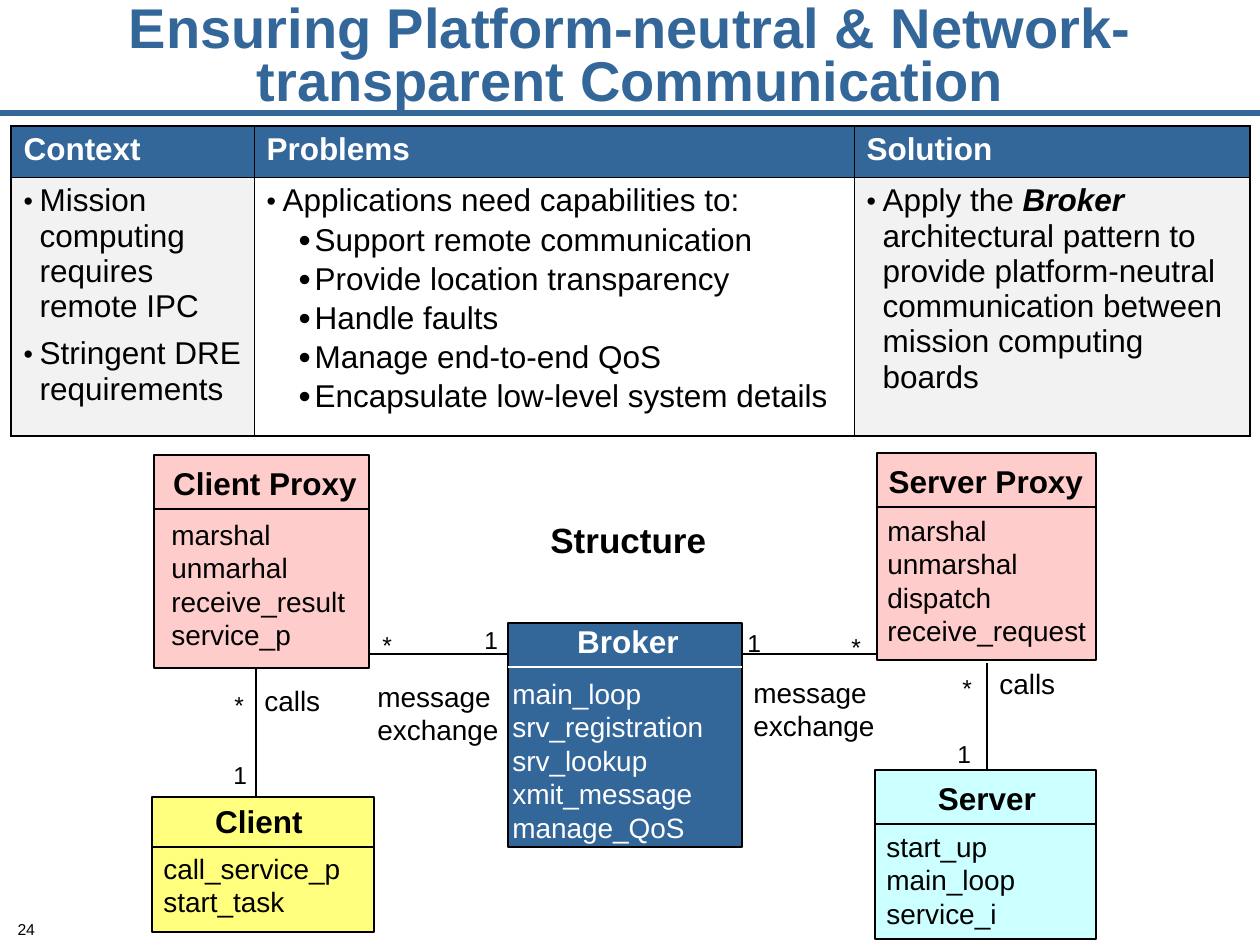
import dataclasses

import lxml.etree
import pptx
import pptx.dml.color
import pptx.enum.shapes
import pptx.enum.text
import pptx.oxml.ns
import pptx.util

SCALE = 914400 / 126
ALIGN = pptx.enum.text.PP_ALIGN
ANCHOR = pptx.enum.text.MSO_ANCHOR


@dataclasses.dataclass(frozen=True)
class Theme:
    """Colours, font and type sizes of the slide."""
    font: str = "Arial"
    blue: str = "336699"
    black: str = "000000"
    white: str = "FFFFFF"
    grey: str = "F2F2F2"
    pink: str = "FFCCCC"
    yellow: str = "FFFF7D"
    aqua: str = "CCFFFF"
    title: int = 32
    topic: int = 20
    head: int = 18
    body: int = 16
    mark: int = 14
    page: int = 9


THEME = Theme()

TABLE = [
    ("Context", 243, THEME.grey, 6.8, [
        (0, ["Mission computing requires remote IPC"]),
        (0, ["Stringent DRE requirements"])]),
    ("Problems", 600, None, 2.2, [
        (0, ["Applications need capabilities to:"]),
        (1, ["Support remote communication"]),
        (1, ["Provide location transparency"]),
        (1, ["Handle faults"]),
        (1, ["Manage end-to-end QoS"]),
        (1, ["Encapsulate low-level system details"])]),
    ("Solution", 396, THEME.grey, 6.8, [
        (0, ["Apply the ", "Broker", " architectural pattern to provide platform-neutral "
             "communication between mission computing boards"])]),
]

# name, fill, ink, box, centre and top of name, rule, place of methods, methods
CLASSES = [
    ("Client Proxy", THEME.pink, THEME.black, (154, 455, 215, 213), (265, 458), 509, (159, 511),
     ["marshal", "unmarhal", "receive_result", "service_p"]),
    ("Client", THEME.yellow, THEME.black, (152, 797, 222, 135), (259, 796), 847, (151, 845),
     ["call_service_p", "start_task"]),
    ("Server Proxy", THEME.pink, THEME.black, (877, 453, 219, 207), (986, 456), 507, (875, 507),
     ["marshal", "unmarshal", "dispatch", "receive_request"]),
    ("Server", THEME.aqua, THEME.black, (875, 770, 221, 169), (987, 773), 824, (874, 823),
     ["start_up", "main_loop", "service_i"]),
    ("Broker", THEME.blue, THEME.white, (508, 623, 234, 224), (628, 616), 667, (500, 670),
     ["main_loop", "srv_registration", "srv_lookup", "xmit_message", "manage_QoS"]),
]

LINKS = [(249, 654, 515, 654), (741, 654, 989, 654), (256, 669, 256, 821), (987, 663, 987, 815)]

NOTES = [("message exchange", 365, 673, 149), ("message exchange", 741, 669, 149),
         ("calls", 252, 677, 131), ("calls", 987, 660, 131)]

MARKS = [("*", 839, 626), ("*", 222, 684), ("*", 370, 624), ("1", 221, 754), ("*", 950, 667),
         ("1", 945, 733), ("1", 735, 622), ("1", 472, 619)]


def emu(px):
    """Turn px into EMU."""
    return pptx.util.Emu(round(px * SCALE))


def rgb(code):
    """Give the colour for a hex code."""
    return pptx.dml.color.RGBColor.from_string(code)


def style(par, size, ink, bold=False):
    """Format all runs of a paragraph."""
    for run in par.runs:
        run.font.name = THEME.font
        run.font.size = pptx.util.Pt(size)
        run.font.bold = bold
        run.font.color.rgb = rgb(ink)


def label(slide, text, area, size, ink=THEME.black, bold=False, align=ALIGN.LEFT, space=None, inset=True):
    """Add a text box and return its frame."""
    frame = slide.shapes.add_textbox(*map(emu, area)).text_frame
    frame.word_wrap = True
    if not inset:
        frame.margin_left = frame.margin_right = frame.margin_top = frame.margin_bottom = 0
    frame.text = text
    for par in frame.paragraphs:
        par.alignment = align
        par.line_spacing = space
        style(par, size, ink, bold)
    return frame


def line(slide, ends, ink=THEME.black, width=1):
    """Add a straight line without shadow."""
    kind = pptx.enum.shapes.MSO_CONNECTOR.STRAIGHT
    link = slide.shapes.add_connector(kind, *map(emu, ends))
    link.line.color.rgb = rgb(ink)
    link.line.width = pptx.util.Pt(width)
    lxml.etree.SubElement(link._element.spPr, pptx.oxml.ns.qn("a:effectLst"))


def node(slide, name, fill, ink, area, head, rule, place, items):
    """Add a class box with its name, rule and methods."""
    left, top, width, height = area
    box = slide.shapes.add_shape(pptx.enum.shapes.MSO_SHAPE.RECTANGLE, *map(emu, area))
    box.shadow.inherit = False
    box.fill.solid()
    box.fill.fore_color.rgb = rgb(fill)
    box.line.color.rgb = rgb(THEME.black)
    box.line.width = pptx.util.Pt(1)
    line(slide, (left, rule, left + width, rule), ink)
    label(slide, "\n".join(items), (*place, 250, 13 + 34 * len(items)), THEME.body, ink)
    mid, high = head
    label(slide, name, (mid - 120, high, 240, 50), THEME.head, ink, True, ALIGN.CENTER)


def edge(cell, sides):
    """Draw the cell borders, given as widths by side."""
    props = cell._tc.get_or_add_tcPr()
    for side, width in sides.items():
        part = lxml.etree.SubElement(props, pptx.oxml.ns.qn("a:ln" + side), w=str(round(width * 12700)))
        fill = lxml.etree.SubElement(part, pptx.oxml.ns.qn("a:solidFill"))
        lxml.etree.SubElement(fill, pptx.oxml.ns.qn("a:srgbClr"), val=THEME.black)


def paint(cell, code):
    """Fill a cell, or leave it clear."""
    if code:
        cell.fill.solid()
        cell.fill.fore_color.rgb = rgb(code)
    else:
        cell.fill.background()


def bullet(par, level):
    """Give a paragraph a bullet and hanging indent."""
    par.level = level
    props = par._p.get_or_add_pPr()
    props.set("marL", str(emu((16, 48)[level])))
    props.set("indent", str(emu(-16)))
    tint = lxml.etree.SubElement(props, pptx.oxml.ns.qn("a:buClr"))
    lxml.etree.SubElement(tint, pptx.oxml.ns.qn("a:srgbClr"), val=THEME.black)
    lxml.etree.SubElement(props, pptx.oxml.ns.qn("a:buSzPct"), val=("85000", "110000")[level])
    lxml.etree.SubElement(props, pptx.oxml.ns.qn("a:buFont"), typeface=THEME.font)
    lxml.etree.SubElement(props, pptx.oxml.ns.qn("a:buChar"), char="•")


def points(cell, items, gap):
    """Write bulleted paragraphs, with every second run stressed."""
    frame = cell.text_frame
    for index, (level, parts) in enumerate(items):
        par = frame.add_paragraph() if index else frame.paragraphs[0]
        bullet(par, level)
        if index:
            par.space_before = pptx.util.Pt(gap)
        for part in parts:
            par.add_run().text = part
        style(par, THEME.head, THEME.black)
        for run in par.runs[1::2]:
            run.font.bold = run.font.italic = True


def grid(slide):
    """Add the table of context, problems and solution."""
    rows = (51, 259)
    wide = sum(col[1] for col in TABLE)
    table = slide.shapes.add_table(2, len(TABLE), *map(emu, (11, 126, wide, sum(rows)))).table
    table.first_row = table.horz_banding = False
    for row, high in zip(table.rows, rows):
        row.height = emu(high)
    last = len(TABLE) - 1
    thin, thick = 0.45, 1.08
    for col, (name, width, fill, gap, items) in enumerate(TABLE):
        table.columns[col].width = emu(width)
        for row, code in enumerate((THEME.blue, fill)):
            cell = table.cell(row, col)
            edge(cell, {"L": thin if col else thick, "R": thick if col == last else thin,
                        "T": thin if row else thick, "B": thick if row else thin})
            paint(cell, code)
        head = table.cell(0, col).text_frame
        head.text = name
        style(head.paragraphs[0], THEME.head, THEME.white, True)
        points(table.cell(1, col), items, gap)


def main():
    """Build the slide and save it."""
    deck = pptx.Presentation()
    deck.slide_width, deck.slide_height = emu(1260), emu(945)
    slide = deck.slides.add_slide(deck.slide_layouts[6])
    line(slide, (0, 113, 1260, 113), THEME.blue, 3.75)
    title = label(slide, "Ensuring Platform-neutral & Network-transparent Communication",
                  (1, -4, 1259, 126), THEME.title, THEME.blue, True, ALIGN.CENTER, 0.8)
    title.vertical_anchor = ANCHOR.MIDDLE
    grid(slide)
    for ends in LINKS:
        line(slide, ends)
    for item in CLASSES:
        node(slide, *item)
    for text, left, top, width in NOTES:
        label(slide, text, (left, top, width, 79 if " " in text else 47), THEME.body)
    for text, left, top in MARKS:
        label(slide, text, (left, top, 39, 42), THEME.mark)
    label(slide, "Structure", (538, 512, 190, 55), THEME.topic, bold=True)
    label(slide, "24", (0, 922, 35, 18), THEME.page, align=ALIGN.RIGHT, space=0.9, inset=False)
    deck.save("out.pptx")


if __name__ == "__main__":
    main()
